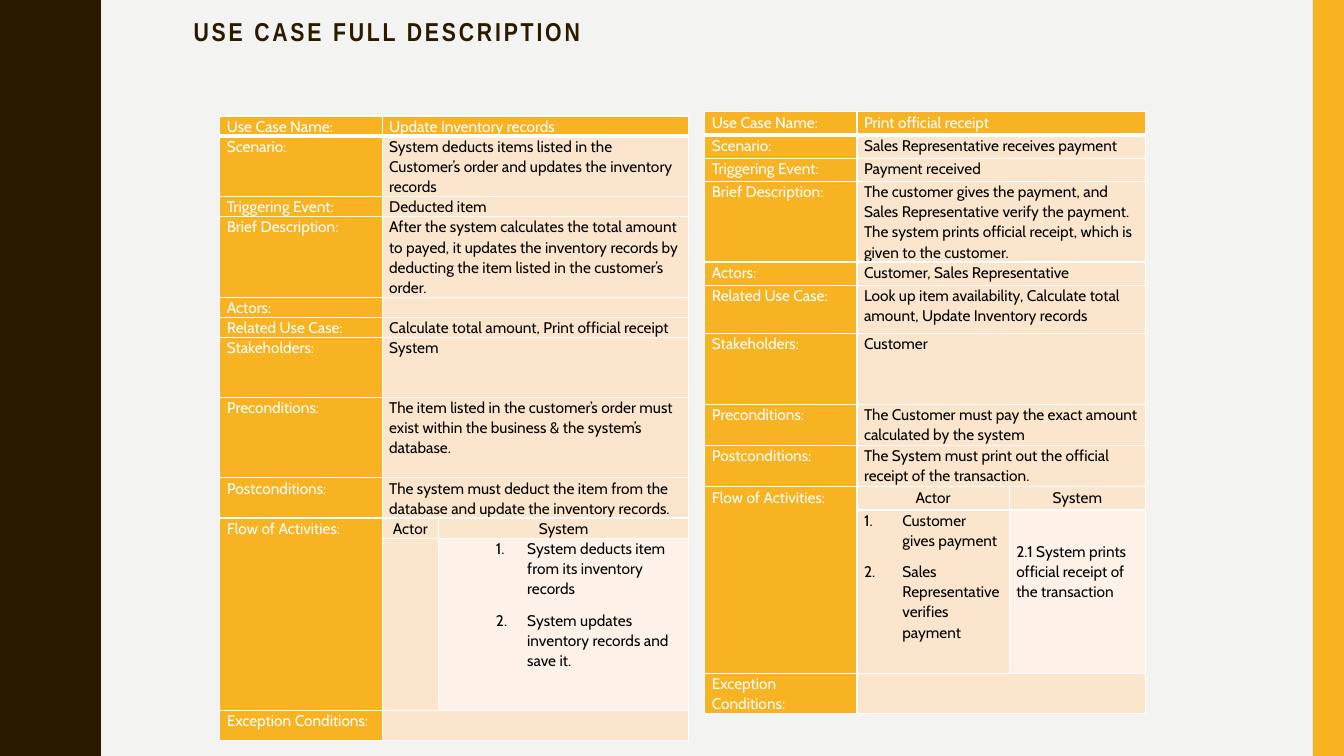
from lxml import etree
from pptx import Presentation
from pptx import util as u
from pptx.dml.color import RGBColor
from pptx.enum import shapes, text
from pptx.oxml import ns

WIDTH, HEIGHT = 13.33, 7.5
COLOURS = {"paper": "F3F3F2", "brown": "2A1A00", "gold": "F8B323", "peach": "FCE5CD",
           "cream": "FEF2E8", "white": "FFFFFF", "black": "000000"}
LABELS = ["Use Case Name:", "Scenario:", "Triggering Event:", "Brief Description:", "Actors:",
          "Related Use Case:", "Stakeholders:", "Preconditions:", "Postconditions:",
          "Flow of Activities:", "", "Exception Conditions:"]
FLOW_HEADER, FLOW_STEPS = 9, 10
WAVE_PERIOD = 1.5
WAVE_RISE = [(0.78, 0), (0.78, 0.07), (0.79, 0.14), (0.8, 0.2), (0.81, 0.25), (0.83, 0.29),
             (0.85, 0.33), (0.87, 0.38), (0.89, 0.42), (0.91, 0.46), (0.93, 0.5),
             (0.95, 0.55), (0.96, 0.61), (0.97, 0.68), (0.97, 0.75)]

INVENTORY = {
    "left": 2.18, "top": 1.15, "columns": [1.61, 0.56, 2.48],
    "rows": [0.19, 0.6, 0.19, 0.8, 0.19, 0.19, 0.59, 0.8, 0.4, 0.19, 1.71, 0.3],
    "values": [
        "Update Inventory records",
        "System deducts items listed in the Customer’s order and updates the inventory records",
        "Deducted item",
        "After the system calculates the total amount to payed, it updates the inventory records "
        "by deducting the item listed in the customer’s order.",
        "",
        "Calculate total amount, Print official receipt",
        "System",
        "The item listed in the customer’s order must exist within the business & the system’s "
        "database.",
        "The system must deduct the item from the database and update the inventory records."],
    "actor": "",
    "system": "System deducts item from its inventory records\n"
              "System updates inventory records and save it.",
    "numbered": (2, 0.81, 0.31, 1)}

RECEIPT = {
    "left": 6.99, "top": 1.11, "columns": [1.51, 1.51, 1.35],
    "rows": [0.23, 0.23, 0.23, 0.8, 0.23, 0.48, 0.7, 0.41, 0.41, 0.23, 1.62, 0.4],
    "values": [
        "Print official receipt",
        "Sales Representative receives payment",
        "Payment received",
        "The customer gives the payment, and Sales Representative verify the payment. "
        "The system prints official receipt, which is given to the customer.",
        "Customer, Sales Representative",
        "Look up item availability, Calculate total amount, Update Inventory records",
        "Customer",
        "The Customer must pay the exact amount calculated by the system",
        "The System must print out the official receipt of the transaction."],
    "actor": "Customer gives payment\nSales Representative verifies payment",
    "system": "2.1 System prints official receipt of the transaction",
    "numbered": (1, 0.38, 0.38, 0),
    "system_drop": 0.31}


def colour(name):
    return RGBColor.from_string(COLOURS[name])


def paint(fill, name):
    fill.solid()
    fill.fore_color.rgb = colour(name)


def finish_shape(shape, name):
    paint(shape.fill, name)
    shape.line.fill.background()
    shape.shadow.inherit = False


def add_wave(slide):
    fall = [(x, WAVE_PERIOD - y) for x, y in reversed(WAVE_RISE[:-1])]
    periods = round(HEIGHT / WAVE_PERIOD)
    edge = [(x, y + WAVE_PERIOD * period)
            for period in range(periods) for x, y in WAVE_RISE + fall]
    builder = slide.shapes.build_freeform(0, 0, scale=u.Inches(1))
    builder.add_line_segments(edge + [(0, HEIGHT)], close=True)
    finish_shape(builder.convert_to_shape(), "brown")


def add_side_bar(slide):
    bar = slide.shapes.add_shape(shapes.MSO_SHAPE.RECTANGLE, u.Inches(13.02), 0,
                                 u.Inches(WIDTH - 13.02), u.Inches(HEIGHT))
    finish_shape(bar, "gold")


def set_title(slide, wording):
    title = slide.shapes.title
    title.left, title.top, title.width, title.height = map(u.Inches, (1.81, 0, 9.04, 0.84))
    frame = title.text_frame
    frame.text = wording
    frame.auto_size = text.MSO_AUTO_SIZE.NONE
    frame.vertical_anchor = text.MSO_ANCHOR.TOP
    frame.margin_left = frame.margin_right = u.Inches(0.11)
    frame.margin_top = frame.margin_bottom = u.Inches(0.11)
    paragraph = frame.paragraphs[0]
    paragraph.alignment = text.PP_ALIGN.LEFT
    paragraph.line_spacing = 1.15
    paragraph.space_before, paragraph.space_after = u.Pt(19.4), u.Pt(4.4)
    run = paragraph.runs[0]
    format_run(run, "Arial Narrow", 18.5, "brown")
    run.font.bold = True
    run.font._element.set("spc", "200")


def format_run(run, typeface, size, name):
    run.font.name, run.font.size = typeface, u.Pt(size)
    run.font.color.rgb = colour(name)


def set_borders(cell, bottom):
    properties = cell._tc.get_or_add_tcPr()
    for side, width in (("L", 1), ("R", 1), ("T", 1), ("B", bottom)):
        line = etree.SubElement(properties, ns.qn(f"a:ln{side}"), w=str(u.Pt(width)))
        fill = etree.SubElement(line, ns.qn("a:solidFill"))
        etree.SubElement(fill, ns.qn("a:srgbClr"), val=COLOURS["white"])


def format_cell(cell, row, column):
    set_borders(cell, 3 if row == 0 else 1)
    heading = row == 0 or column == 0
    pale = row == FLOW_STEPS and column == 2
    paint(cell.fill, "gold" if heading else "cream" if pale else "peach")
    cell.margin_left = cell.margin_right = u.Inches(0.07)
    cell.margin_top = cell.margin_bottom = 0
    for paragraph in cell.text_frame.paragraphs:
        paragraph.line_spacing = 1.07
        if row == FLOW_HEADER and column > 0:
            paragraph.alignment = text.PP_ALIGN.CENTER
        if row == FLOW_STEPS:
            paragraph.space_after = u.Pt(8)
        for run in paragraph.runs:
            format_run(run, "Cabin", 11, "white" if heading else "black")
        if not paragraph.runs:
            etree.SubElement(paragraph._p, ns.qn("a:endParaRPr"), sz="1100")


def number_steps(cell, indent, hanging, level):
    for paragraph in cell.text_frame.paragraphs:
        paragraph.level = level
        properties = paragraph._p.get_or_add_pPr()
        properties.set("marL", str(u.Inches(indent)))
        properties.set("indent", str(-u.Inches(hanging)))
        etree.SubElement(properties, ns.qn("a:buAutoNum"), type="arabicPeriod")


def add_use_case(slide, case):
    columns, rows = case["columns"], case["rows"]
    frame = slide.shapes.add_table(len(rows), len(columns), u.Inches(case["left"]),
                                   u.Inches(case["top"]), u.Inches(sum(columns)),
                                   u.Inches(sum(rows)))
    table = frame.table
    table.first_row = table.horz_banding = False
    for column, width in zip(table.columns, columns):
        column.width = u.Inches(width)
    for row, height in zip(table.rows, rows):
        row.height = u.Inches(height)
    for index, label in enumerate(LABELS):
        table.cell(index, 0).text = label
        if index not in (FLOW_HEADER, FLOW_STEPS):
            table.cell(index, 1).merge(table.cell(index, 2))
    for index, value in enumerate(case["values"]):
        table.cell(index, 1).text = value
    table.cell(FLOW_HEADER, 0).merge(table.cell(FLOW_STEPS, 0))
    for column, heading in ((1, "actor"), (2, "system")):
        table.cell(FLOW_HEADER, column).text = heading.capitalize()
        table.cell(FLOW_STEPS, column).text = case[heading]
    for row in range(len(rows)):
        for column in range(len(columns)):
            format_cell(table.cell(row, column), row, column)
    numbered_column, indent, hanging, level = case["numbered"]
    number_steps(table.cell(FLOW_STEPS, numbered_column), indent, hanging, level)
    table.cell(FLOW_STEPS, 2).margin_top = u.Inches(case.get("system_drop", 0))


def main():
    presentation = Presentation()
    presentation.slide_width, presentation.slide_height = u.Inches(WIDTH), u.Inches(HEIGHT)
    slide = presentation.slides.add_slide(presentation.slide_layouts[5])
    paint(slide.background.fill, "paper")
    add_wave(slide)
    add_side_bar(slide)
    set_title(slide, "USE CASE FULL DESCRIPTION")
    for case in (INVENTORY, RECEIPT):
        add_use_case(slide, case)
    presentation.save("out.pptx")


main()
